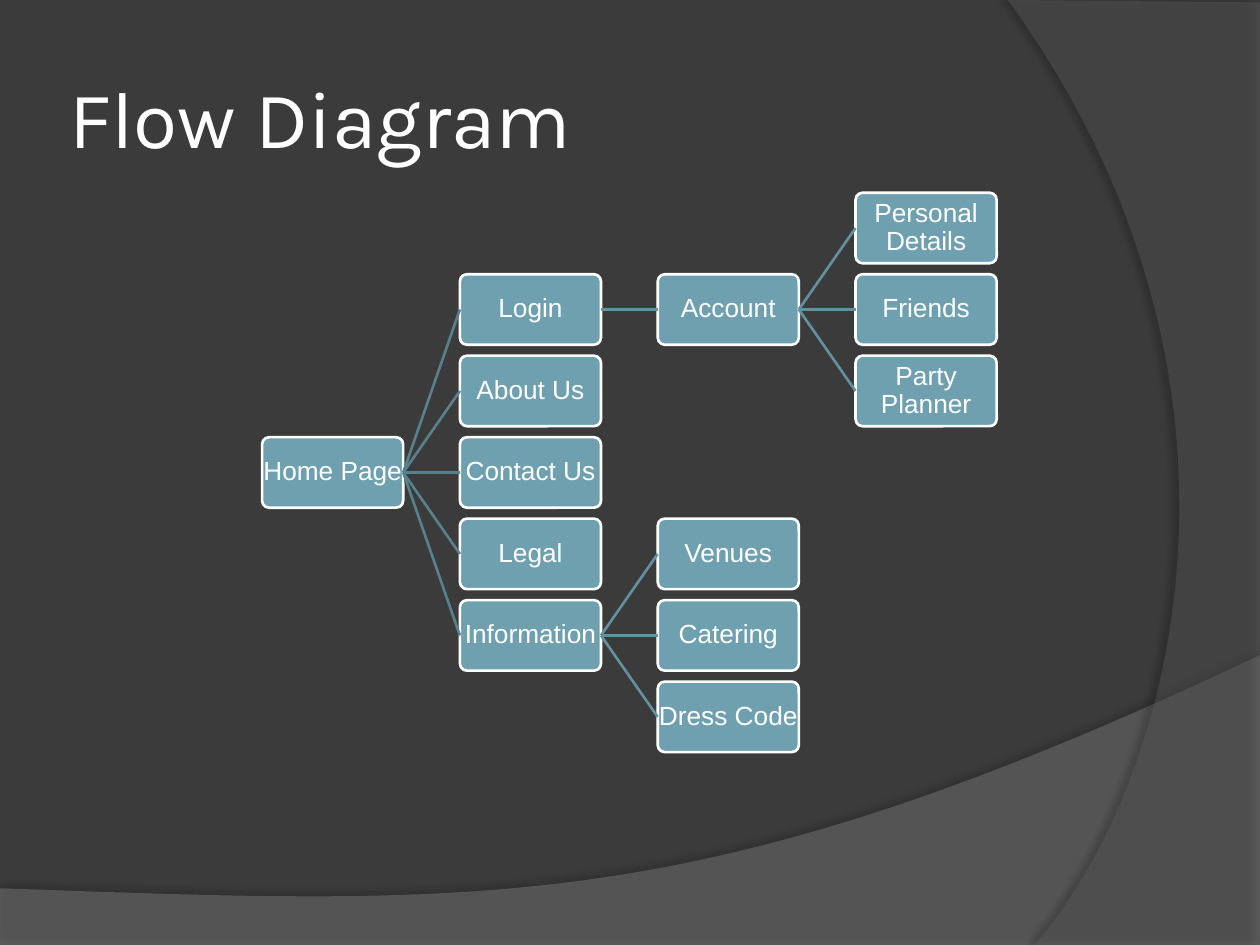
"""Build the flow diagram slide of a site map."""
from dataclasses import dataclass

from lxml import etree
from pptx import Presentation
from pptx.dml.color import RGBColor
from pptx.enum.shapes import MSO_CONNECTOR, MSO_SHAPE
from pptx.enum.text import MSO_ANCHOR, MSO_AUTO_SIZE, PP_ALIGN
from pptx.oxml.ns import qn
from pptx.util import Inches, Pt

STRAIGHT = MSO_CONNECTOR.STRAIGHT
ROUNDED = MSO_SHAPE.ROUNDED_RECTANGLE
MIDDLE = MSO_ANCHOR.MIDDLE
LEFT, CENTER = PP_ALIGN.LEFT, PP_ALIGN.CENTER
NO_AUTOFIT = MSO_AUTO_SIZE.NONE
LEFT_SITE, RIGHT_SITE = 1, 3


@dataclass(frozen=True)
class Theme:
    """Colours, fonts and type sizes."""
    background: str = "3B3B3B"
    wave: str = "7F7F7F"
    side: str = "5E5E5E"
    shadow: str = "000000"
    text: str = "FFFFFF"
    box: str = "6EA0B0"
    links: tuple = ("58808D", "6491A0", "6491A0")
    title_font: str = "Karla"
    box_font: str = "Arial"
    title_size: float = 46
    box_size: float = 15
    line_width: float = 1.5


THEME = Theme()
GRID_LEFT, GRID_TOP = 2.08, 1.53
COLUMN_STEP, ROW_STEP = 1.57, 3.88 / 6
BOX_WIDTH, BOX_HEIGHT = 1.12, 0.56
LONGEST_SINGLE_LINE = 11

SITE_MAP = ("Home Page", 3, [
    ("Login", 1, [
        ("Account", 1, [
            ("Personal Details", 0, []),
            ("Friends", 1, []),
            ("Party Planner", 2, []),
        ]),
    ]),
    ("About Us", 2, []),
    ("Contact Us", 3, []),
    ("Legal", 4, []),
    ("Information", 5, [
        ("Venues", 4, []),
        ("Catering", 5, []),
        ("Dress Code", 6, []),
    ]),
])


def rgb(code):
    """Return the colour of a hex code."""
    return RGBColor.from_string(code)


def curve(start, c1, c2, end, steps=48):
    """Return points along a cubic curve, without its start."""
    points = []
    for i in range(1, steps + 1):
        t = i / steps
        u = 1 - t
        weights = (u ** 3, 3 * u * u * t, 3 * u * t * t, t ** 3)
        points.append(tuple(
            sum(w * v for w, v in zip(weights, axis))
            for axis in zip(start, c1, c2, end)))
    return points


def add_alpha(color, percent):
    """Give a colour element an opacity."""
    etree.SubElement(color, qn("a:alpha"), val=str(percent * 1000))


def add_panel(s, points, color, opacity, shadow_opacity, distance, angle):
    """Draw a translucent background panel with a soft shadow."""
    start, *rest = [(Inches(x), Inches(y)) for x, y in points]
    builder = s.shapes.build_freeform(*start)
    builder.add_line_segments(rest, close=True)
    panel = builder.convert_to_shape()
    panel.fill.solid()
    panel.fill.fore_color.rgb = rgb(color)
    panel.line.fill.background()
    panel.shadow.inherit = False
    sp_pr = panel.element.spPr
    add_alpha(sp_pr.find(qn("a:solidFill"))[0], opacity)
    shadow = etree.SubElement(
        sp_pr.find(qn("a:effectLst")), qn("a:outerShdw"),
        blurRad=str(Pt(4)), dist=str(Pt(distance)), dir=str(angle * 60000),
        algn="ctr", rotWithShape="0")
    shade = etree.SubElement(shadow, qn("a:srgbClr"), val=THEME.shadow)
    add_alpha(shade, shadow_opacity)


def add_background(s):
    """Draw the backdrop and its two curved panels."""
    s.background.fill.solid()
    s.background.fill.fore_color.rgb = rgb(THEME.background)
    wave = [(0, 7.05), (0, 7.5), (10, 7.5), (10, 5.2)]
    wave += curve((10, 5.2), (5.59, 7.29), (3.91, 7.19), (0, 7.05))
    add_panel(s, wave, THEME.wave, 45, 35, 3.5, 270)
    side = [(10, 0.02), (10, 7.5), (8.21, 7.5)]
    side += curve((8.21, 7.5), (9.35, 6.19), (10.18, 3), (8, 0))
    add_panel(s, side, THEME.side, 40, 45, 4, 180)


def style_text(tf, size, font, align, inset):
    """Format a text frame that holds one paragraph."""
    tf.vertical_anchor = MIDDLE
    tf.margin_left = tf.margin_right = Inches(inset)
    tf.margin_top = tf.margin_bottom = Inches(inset)
    p = tf.paragraphs[0]
    p.alignment = align
    p.font.size = Pt(size)
    p.font.name = font
    p.font.color.rgb = rgb(THEME.text)
    return p


def add_title(s, text):
    """Place and format the title."""
    title = s.shapes.title
    title.left, title.top = Inches(0.5), Inches(0.3)
    title.width, title.height = Inches(8.17), Inches(1.25)
    tf = title.text_frame
    tf.text = text
    tf.auto_size = NO_AUTOFIT
    style_text(tf, THEME.title_size, THEME.title_font, LEFT, 0.05)


def add_box(s, label, column, row):
    """Draw one page box on the grid."""
    box = s.shapes.add_shape(
        ROUNDED, Inches(GRID_LEFT + column * COLUMN_STEP),
        Inches(GRID_TOP + row * ROW_STEP), Inches(BOX_WIDTH), Inches(BOX_HEIGHT))
    box.adjustments[0] = 0.1
    box.shadow.inherit = False
    box.fill.solid()
    box.fill.fore_color.rgb = rgb(THEME.box)
    box.line.color.rgb = rgb(THEME.text)
    box.line.width = Pt(THEME.line_width)
    tf = box.text_frame
    tf.text = label
    tf.word_wrap = len(label) > LONGEST_SINGLE_LINE
    p = style_text(tf, THEME.box_size, THEME.box_font, CENTER, 0.01)
    p.line_spacing = 0.9
    return box


def add_link(s, parent, child, color):
    """Connect the right side of a box to the left side of another."""
    link = s.shapes.add_connector(STRAIGHT, 0, 0, 0, 0)
    link.begin_connect(parent, RIGHT_SITE)
    link.end_connect(child, LEFT_SITE)
    link.line.color.rgb = rgb(color)
    link.line.width = Pt(THEME.line_width)
    etree.SubElement(link.element.spPr, qn("a:effectLst"))


def add_branch(s, page, column=0):
    """Draw a page and everything below it, and return its box."""
    label, row, children = page
    box = add_box(s, label, column, row)
    for child in children:
        add_link(s, box, add_branch(s, child, column + 1), THEME.links[column])
    return box


def main():
    """Build and save the slide."""
    prs = Presentation()
    prs.slide_width, prs.slide_height = Inches(10), Inches(7.5)
    s = prs.slides.add_slide(prs.slide_layouts[5])
    add_background(s)
    add_title(s, "Flow Diagram")
    add_branch(s, SITE_MAP)
    prs.save("out.pptx")


main()
